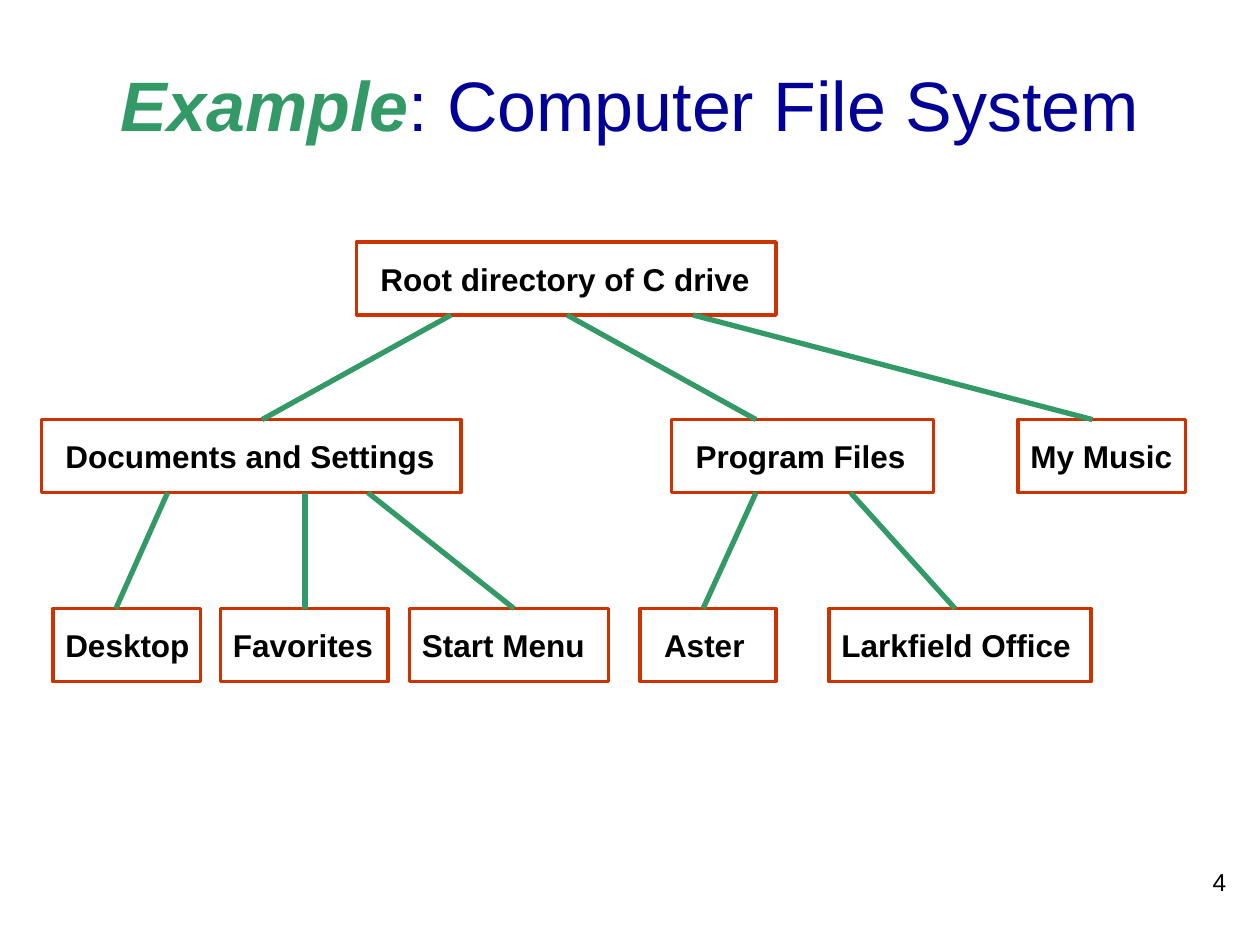
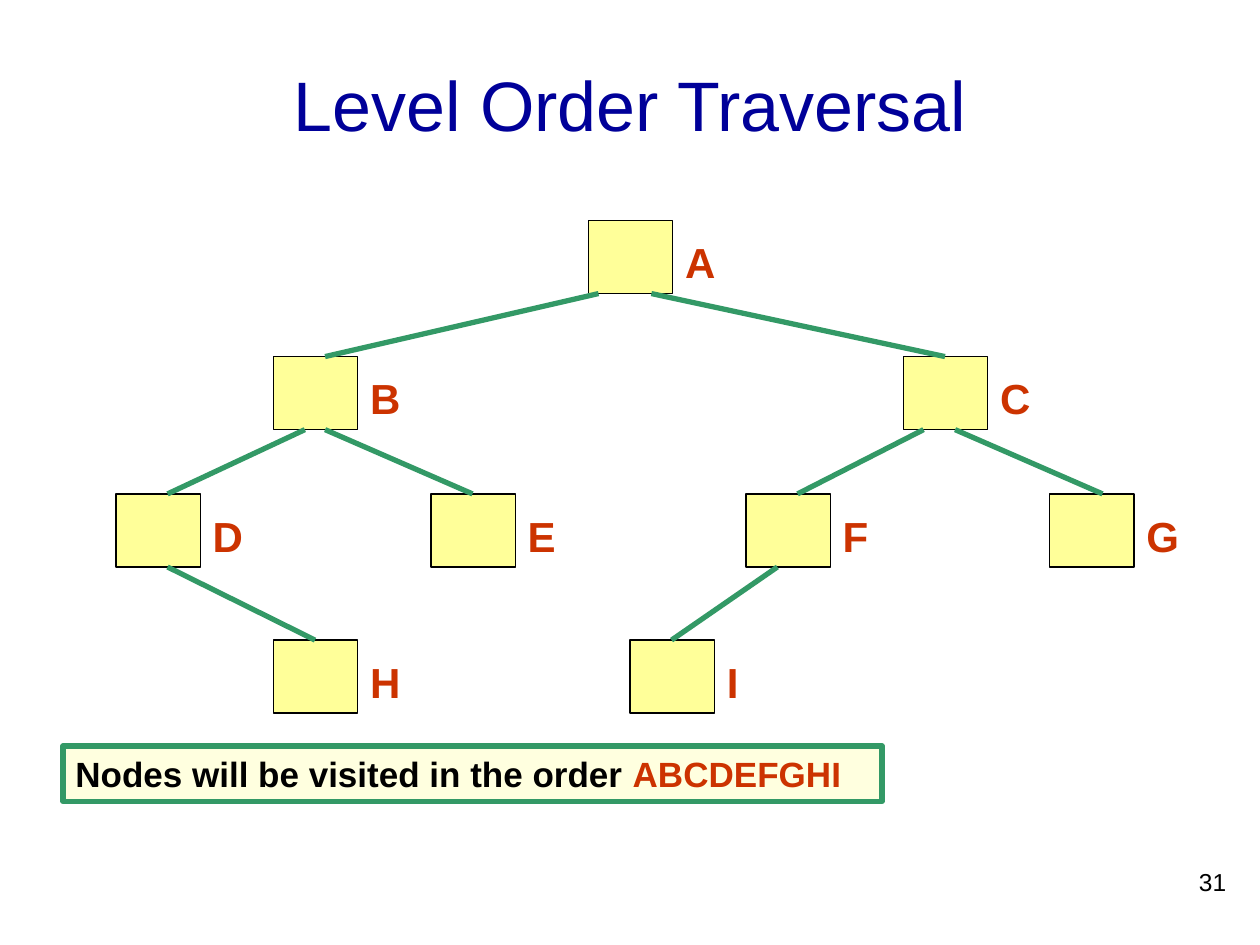
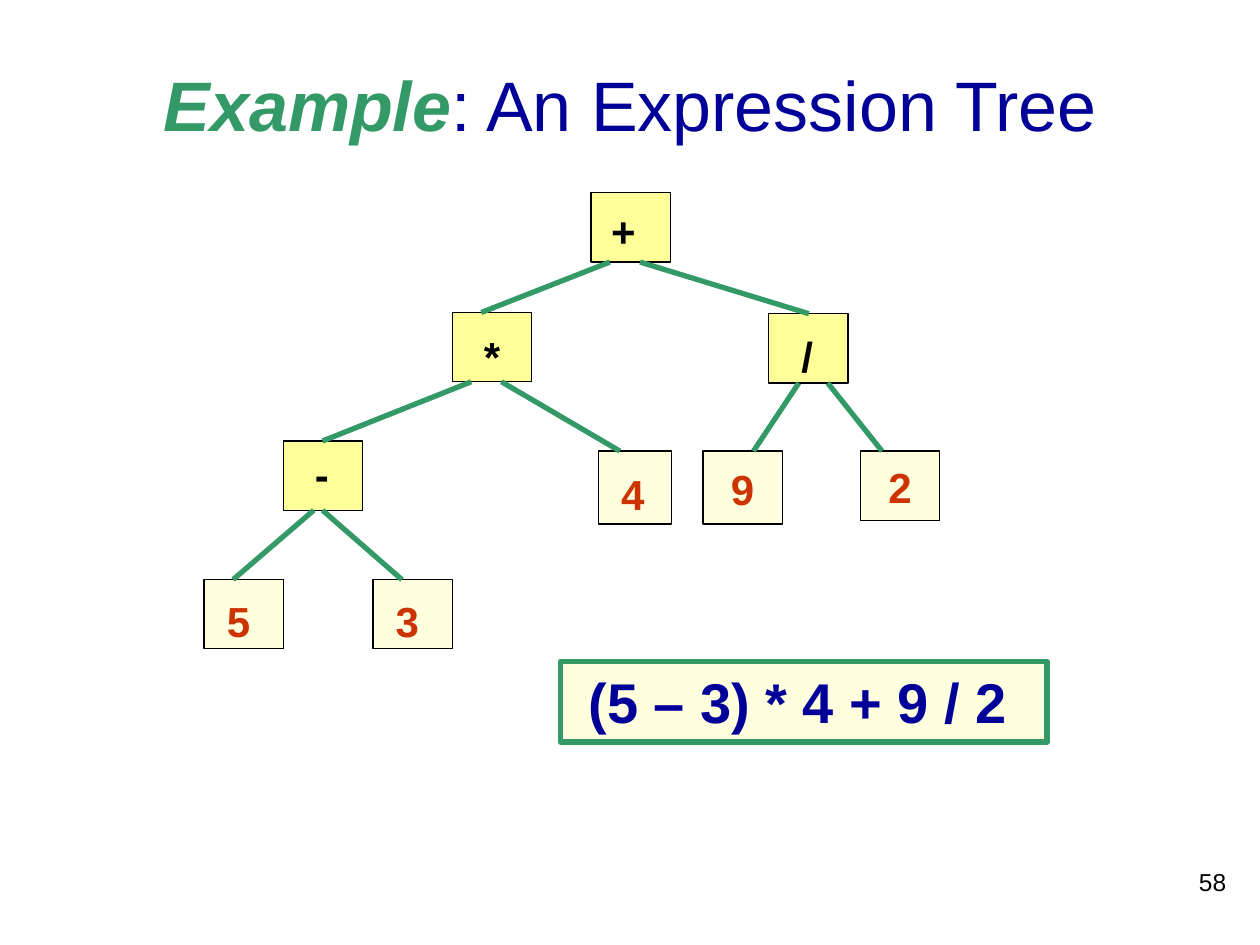
from lxml.etree import SubElement
from pptx import Presentation
from pptx.dml.color import RGBColor
from pptx.enum.shapes import MSO_CONNECTOR, MSO_SHAPE
from pptx.enum.text import MSO_ANCHOR, PP_ALIGN
from pptx.oxml.ns import qn
from pptx.util import Inches, Pt

GREEN, NAVY, RED, BLACK = "339966", "000099", "CC3300", "000000"
YELLOW, CREAM = "FFFF99", "FFFFDF"
FONT = "Arial"

# Folder rows: top, then (name, left, width, text indent)
FOLDERS = [
    (1.92, [("Root directory of C drive", 2.83, 3.33, 0.19)]),
    (3.33, [("Documents and Settings", 0.33, 3.33, 0.19),
            ("Program Files", 5.33, 2.08, 0.19),
            ("My Music", 8.08, 1.33, 0.1)]),
    (4.83, [("Desktop", 0.42, 1.17, 0.1),
            ("Favorites", 1.75, 1.33, 0.1),
            ("Start Menu", 3.25, 1.58, 0.1),
            ("Aster", 5.08, 1.08, 0.19),
            ("Larkfield Office", 6.58, 2.08, 0.1)]),
]
# Links: parent, x at its bottom, child, x at its top
FOLDER_LINKS = [
    ("Root directory of C drive", 3.58, "Documents and Settings", 2.08),
    ("Root directory of C drive", 4.5, "Program Files", 6),
    ("Root directory of C drive", 5.5, "My Music", 8.67),
    ("Documents and Settings", 1.33, "Desktop", 0.92),
    ("Documents and Settings", 2.42, "Favorites", 2.42),
    ("Documents and Settings", 2.92, "Start Menu", 4.08),
    ("Program Files", 6, "Aster", 5.58),
    ("Program Files", 6.75, "Larkfield Office", 7.58),
]

# Levels: top, then left edge of each node
LEVELS = [
    (1.75, {"A": 4.67}),
    (2.83, {"B": 2.17, "C": 7.17}),
    (3.92, {"D": 0.92, "E": 3.42, "F": 5.92, "G": 8.33}),
    (5.08, {"H": 2.17, "I": 5}),
]
LEVEL_LINKS = [
    ("A", 4.75, "B", 2.58), ("A", 5.17, "C", 7.5),
    ("B", 2.42, "D", 1.33), ("B", 2.58, "E", 3.75),
    ("C", 7.33, "F", 6.33), ("C", 7.58, "G", 8.75),
    ("D", 1.33, "H", 2.5), ("F", 6.17, "I", 5.33),
]

# Terms: sign, left, top, width, height, text indent, text drop
TERMS = [
    ("+", 4.69, 1.53, 0.63, 0.55, 0.16, 0.1),
    ("*", 3.59, 2.48, 0.63, 0.55, 0.25, 0.14),
    ("/", 6.1, 2.49, 0.63, 0.55, 0.26, 0.13),
    ("-", 2.25, 3.5, 0.63, 0.55, 0.25, 0.06),
    ("4", 4.75, 3.58, 0.58, 0.58, 0.18, 0.14),
    ("9", 5.58, 3.58, 0.63, 0.58, 0.22, 0.1),
    ("2", 6.83, 3.58, 0.63, 0.55, 0.22, 0.08),
    ("5", 1.62, 4.6, 0.63, 0.55, 0.18, 0.13),
    ("3", 2.96, 4.6, 0.63, 0.55, 0.18, 0.13),
]
TERM_LINKS = [
    ("+", 4.84, "*", 3.82), ("+", 5.08, "/", 6.42),
    ("*", 3.74, "-", 2.56), ("*", 3.98, "4", 4.92),
    ("/", 6.34, "9", 5.98), ("/", 6.57, "2", 7),
    ("-", 2.49, "5", 1.85), ("-", 2.56, "3", 3.19),
]


def color(code):
    return RGBColor.from_string(code)


def write(shape, runs, size, bold=True, align=PP_ALIGN.LEFT,
          anchor=MSO_ANCHOR.TOP, left=0.1, top=0.05, right=0.1):
    """Fill a shape with one paragraph of (text, colour, italic) runs."""
    frame = shape.text_frame
    frame.word_wrap = True
    frame.vertical_anchor = anchor
    frame.margin_left, frame.margin_right = Inches(left), Inches(right)
    frame.margin_top, frame.margin_bottom = Inches(top), 0
    para = frame.paragraphs[0]
    para.alignment = align
    for text, tint, slant in runs:
        run = para.add_run()
        run.text = text
        font = run.font
        font.name, font.size = FONT, Pt(size)
        font.bold, font.italic = bold or slant, slant
        font.color.rgb = color(tint)


def add_text(slide, place, runs, size, **style):
    box = slide.shapes.add_textbox(*map(Inches, place))
    write(box, runs, size, **style)


def add_box(slide, place, line, width, fill=None):
    box = slide.shapes.add_shape(MSO_SHAPE.RECTANGLE, *map(Inches, place))
    box.shadow.inherit = False
    box.line.color.rgb, box.line.width = color(line), Pt(width)
    if fill:
        box.fill.solid()
        box.fill.fore_color.rgb = color(fill)
    else:
        box.fill.background()
    return box


def add_links(slide, links, places):
    """Join the bottom of each parent to the top of its child."""
    for parent, start, child, end in links:
        _, top, _, high = places[parent]
        ends = start, top + high, end, places[child][1]
        link = slide.shapes.add_connector(MSO_CONNECTOR.STRAIGHT,
                                          *map(Inches, ends))
        link.line.color.rgb, link.line.width = color(GREEN), Pt(3)
        SubElement(link._element.spPr, qn("a:effectLst"))


def add_note(slide, place, runs, size, **style):
    write(add_box(slide, place, GREEN, 3, CREAM), runs, size, **style)


def add_page(deck, number, title, lead=None):
    slide = deck.slides.add_slide(deck.slide_layouts[6])
    runs = [(title, NAVY, False)]
    if lead:
        runs.insert(0, (lead, GREEN, True))
    add_text(slide, (0.75, 0.17, 8.5, 1.25), runs, 40, bold=False,
             align=PP_ALIGN.CENTER, anchor=MSO_ANCHOR.MIDDLE)
    add_text(slide, (7.75, 6.83, 2.08, 0.5), [(str(number), BLACK, False)],
             14, bold=False, align=PP_ALIGN.RIGHT)
    return slide


def draw_folders(deck):
    slide = add_page(deck, 4, ": Computer File System", "Example")
    places = {}
    for top, row in FOLDERS:
        for name, left, wide, indent in row:
            places[name] = left, top, wide, 0.58
            box = add_box(slide, places[name], RED, 2)
            write(box, [(name, BLACK, False)], 18, left=indent, top=0.14,
                  right=0)
    add_links(slide, FOLDER_LINKS, places)


def draw_levels(deck):
    slide = add_page(deck, 31, "Level Order Traversal")
    places = {}
    for top, row in LEVELS:
        for name, left in row.items():
            places[name] = left, top, 0.67, 0.58
            add_box(slide, places[name], BLACK, 0.75, YELLOW)
            add_text(slide, (left + 0.67, top + 0.08, 0.9, 0.5),
                     [(name, RED, False)], 24)
    add_links(slide, LEVEL_LINKS, places)
    add_note(slide, (0.5, 5.92, 6.5, 0.44),
             [("Nodes will be visited in the order ", BLACK, False),
              ("".join(places), RED, False)], 20)


def draw_terms(deck):
    slide = add_page(deck, 58, ": An Expression Tree", "Example")
    places = {}
    for sign, left, top, wide, high, indent, drop in TERMS:
        fill, tint = (CREAM, RED) if sign.isdigit() else (YELLOW, BLACK)
        places[sign] = left, top, wide, high
        box = add_box(slide, places[sign], BLACK, 0.75, fill)
        write(box, [(sign, tint, False)], 24, left=indent, top=drop, right=0)
    add_links(slide, TERM_LINKS, places)
    add_note(slide, (4.45, 5.25, 3.86, 0.64),
             [("(5 – 3) * 4 + 9 / 2", NAVY, False)], 32, left=0.22)


def main():
    deck = Presentation()
    deck.slide_width, deck.slide_height = Inches(10), Inches(7.5)
    draw_folders(deck)
    draw_levels(deck)
    draw_terms(deck)
    deck.save("out.pptx")


if __name__ == "__main__":
    main()
